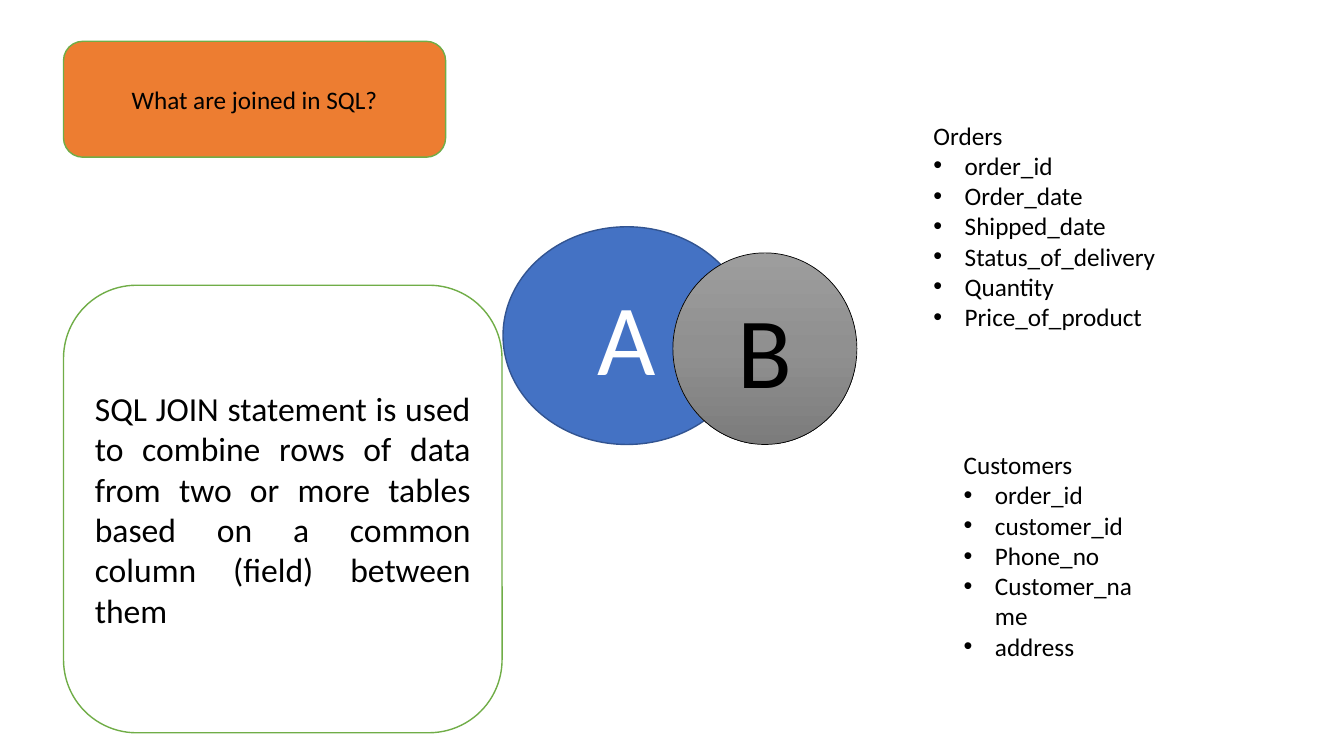
from copy import deepcopy

from lxml.etree import SubElement
from pptx import Presentation
from pptx.dml.color import RGBColor
from pptx.enum.shapes import MSO_SHAPE as SHAPE
from pptx.enum.text import MSO_ANCHOR as ANCHOR, MSO_AUTO_SIZE as AUTO, PP_ALIGN as ALIGN
from pptx.oxml.ns import qn
from pptx.util import Inches, Pt

WIDTH, HEIGHT = 13.33, 7.5
FONT = "Calibri"
BLACK = RGBColor(0x00, 0x00, 0x00)
WHITE = RGBColor(0xFF, 0xFF, 0xFF)
ORANGE = RGBColor(0xED, 0x7D, 0x31)
GREEN = RGBColor(0x70, 0xAD, 0x47)
BLUE = RGBColor(0x44, 0x72, 0xC4)
NAVY = RGBColor(0x32, 0x54, 0x91)
GRAYS = [RGBColor(0x9D, 0x9D, 0x9D), RGBColor(0x90, 0x90, 0x90), RGBColor(0x7C, 0x7C, 0x7C)]

TITLE_BOX = (4.73, 5.47, 28.43, 15.33)
VENN_BOX = (37.43, 30, 26.33, 28.8)
DEFINITION_BOX = (4.73, 37.73, 32.63, 59.2)
ORDERS_BOX = (68.72, 15.2, 18.3, 29.6)
CUSTOMERS_BOX = (70.97, 58.8, 14.78, 29.6)

ORDERS = ["order_id", "Order_date", "Shipped_date", "Status_of_delivery", "Quantity", "Price_of_product"]
CUSTOMERS = ["order_id", "customer_id", "Phone_no", "Customer_name", "address"]
DEFINITION = ("SQL JOIN statement is used to combine rows of data from two or more tables "
              "based on a common column (field) between them")


def place(box):
    left, top, width, height = box
    return (Inches(WIDTH * left / 100), Inches(HEIGHT * top / 100),
            Inches(WIDTH * width / 100), Inches(HEIGHT * height / 100))


def inside(box, left, top, width, height):
    x, y, w, h = box
    return x + w * left, y + h * top, w * width, h * height


def write(p, text, size, color, align=ALIGN.LEFT):
    p.text = text
    p.alignment = align
    font = p.runs[0].font
    font.name, font.size, font.color.rgb = FONT, Pt(size), color


def add_panel(slide, kind, box, text, size, fill, line, color=BLACK, align=ALIGN.CENTER, weight=1):
    sp = slide.shapes.add_shape(kind, *place(box))
    sp.shadow.inherit = False
    sp.fill.solid()
    sp.fill.fore_color.rgb = fill
    sp.line.color.rgb = line
    sp.line.width = Pt(weight)
    tf = sp.text_frame
    tf.word_wrap = True
    tf.vertical_anchor = ANCHOR.MIDDLE
    write(tf.paragraphs[0], text, size, color, align)
    return sp


def shade_down(sp, colors):
    sp.fill.gradient()
    sp.fill.gradient_angle = 270
    stops = sp._element.spPr.find(qn("a:gradFill")).find(qn("a:gsLst"))
    stops.insert(1, deepcopy(stops[0]))
    for i, (stop, color) in enumerate(zip(sp.fill.gradient_stops, colors)):
        stop.position = i / (len(colors) - 1)
        stop.color.rgb = color


def add_venn(slide, box):
    add_panel(slide, SHAPE.OVAL, inside(box, 0, 0, 0.7, 1), "A", 72, BLUE, NAVY, WHITE)
    circle_b = add_panel(slide, SHAPE.OVAL, inside(box, 0.48, 0.12, 0.52, 0.88), "B", 72,
                         GRAYS[1], BLACK, weight=0.5)
    shade_down(circle_b, GRAYS)


def add_bullet(p):
    pPr = p._p.get_or_add_pPr()
    indent = Inches(0.31)
    pPr.set("marL", str(indent))
    pPr.set("indent", str(-indent))
    SubElement(pPr, qn("a:buFont")).set("typeface", "Arial")
    SubElement(pPr, qn("a:buChar")).set("char", "•")


def add_table_fields(slide, box, heading, fields):
    tf = slide.shapes.add_textbox(*place(box)).text_frame
    tf.word_wrap = True
    tf.auto_size = AUTO.SHAPE_TO_FIT_TEXT
    write(tf.paragraphs[0], heading, 18, BLACK)
    for field in fields:
        p = tf.add_paragraph()
        write(p, field, 18, BLACK)
        add_bullet(p)


def main():
    prs = Presentation()
    prs.slide_width, prs.slide_height = Inches(WIDTH), Inches(HEIGHT)
    slide = prs.slides.add_slide(prs.slide_layouts[6])
    add_panel(slide, SHAPE.ROUNDED_RECTANGLE, TITLE_BOX, "What are joined in SQL?", 18, ORANGE, GREEN)
    add_venn(slide, VENN_BOX)
    add_panel(slide, SHAPE.ROUNDED_RECTANGLE, DEFINITION_BOX, DEFINITION, 24, WHITE, GREEN,
              align=ALIGN.JUSTIFY)
    add_table_fields(slide, ORDERS_BOX, "Orders", ORDERS)
    add_table_fields(slide, CUSTOMERS_BOX, "Customers", CUSTOMERS)
    prs.save("out.pptx")


if __name__ == "__main__":
    main()
